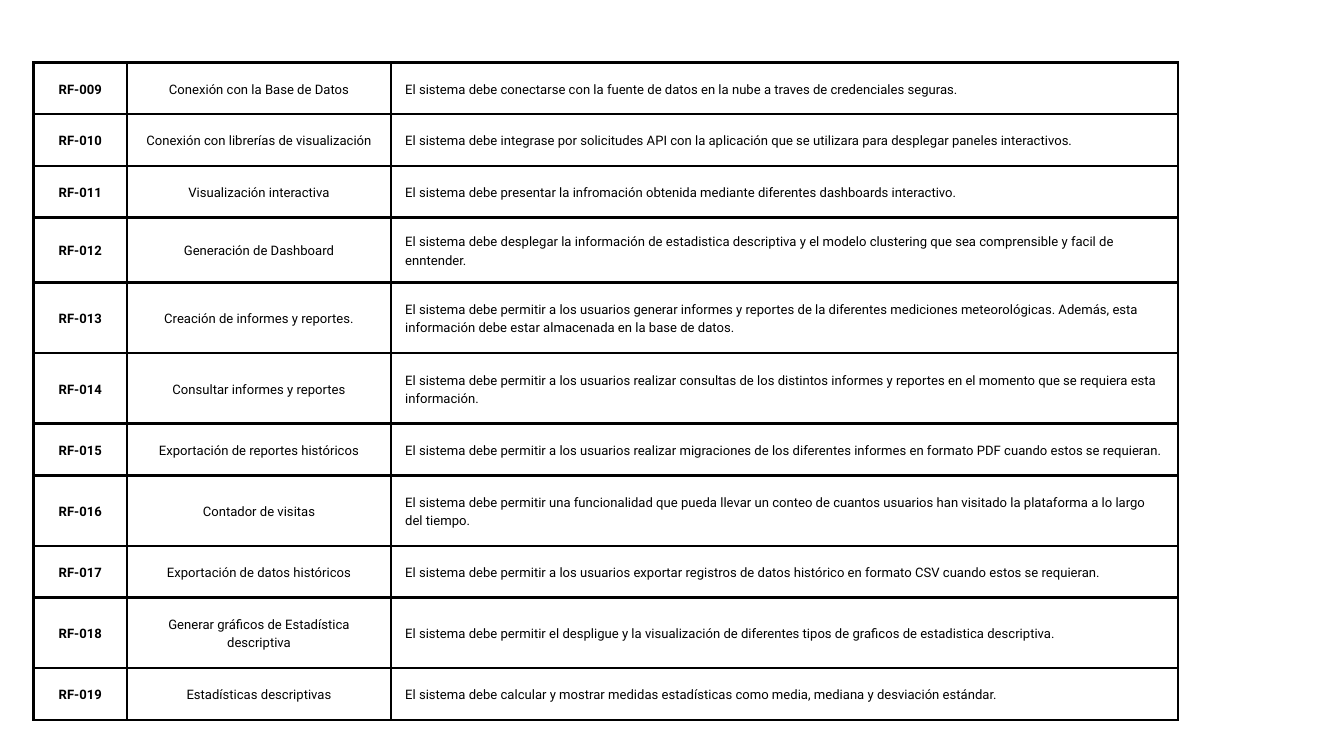
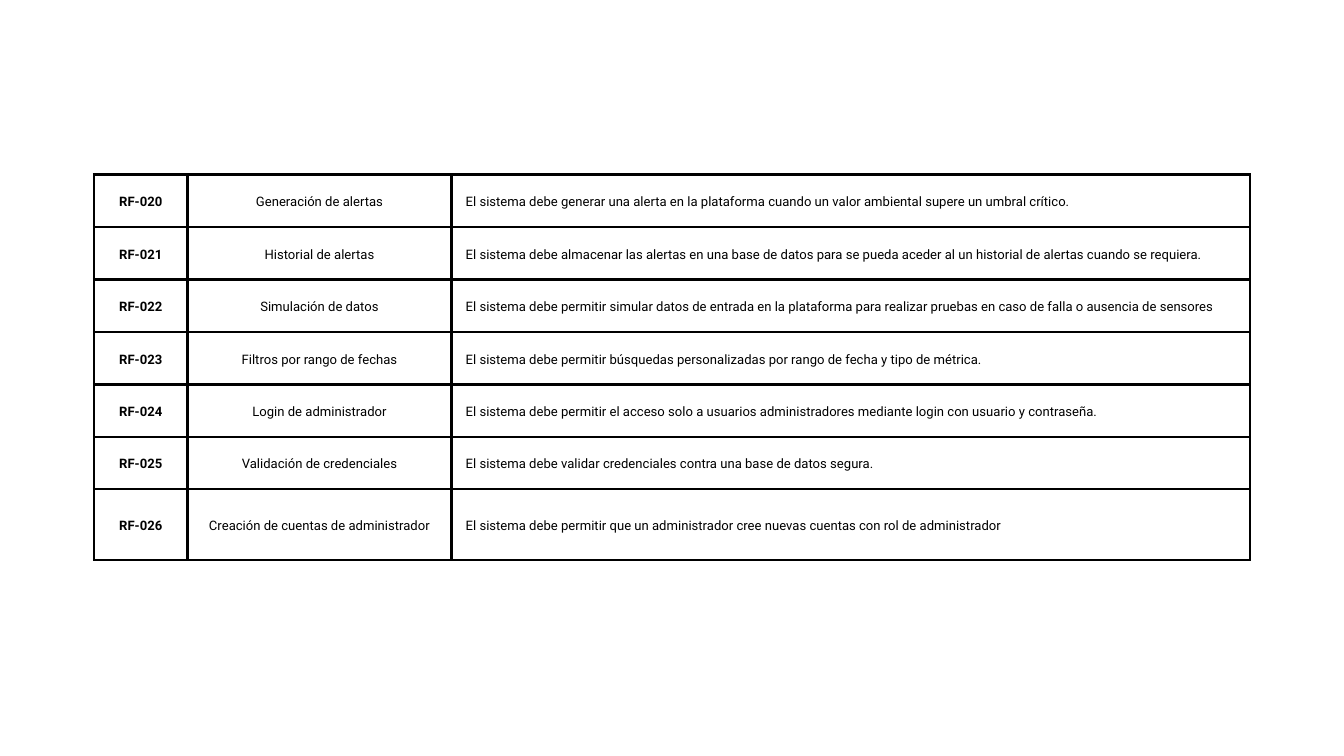
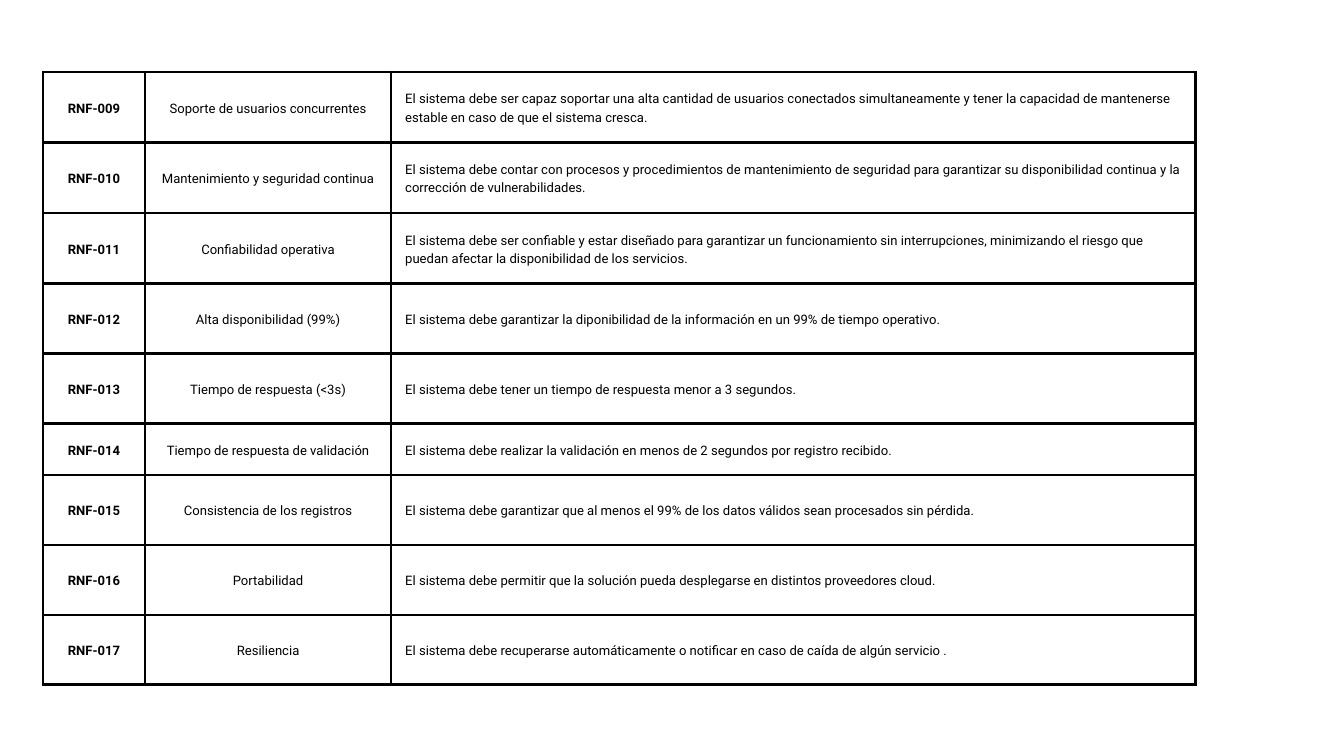
from lxml import etree
from pptx import Presentation
from pptx.dml.color import RGBColor
from pptx.enum.text import MSO_ANCHOR, PP_ALIGN
from pptx.oxml.ns import qn
from pptx.util import Inches, Pt

CENTER, LEFT = PP_ALIGN.CENTER, PP_ALIGN.LEFT
MIDDLE = MSO_ANCHOR.MIDDLE
BLACK = RGBColor(0x00, 0x00, 0x00)
WHITE = RGBColor(0xFF, 0xFF, 0xFF)
BLANK_LAYOUT = 6

# Requirements: code, name, description
DATA_AND_REPORTS = [
    ("RF-009", "Conexión con la Base de Datos",
     "El sistema debe conectarse con la fuente de datos en la nube a traves de credenciales seguras."),
    ("RF-010", "Conexión con librerías de visualización",
     "El sistema debe integrase por solicitudes API con la aplicación que se utilizara para desplegar "
     "paneles interactivos."),
    ("RF-011", "Visualización interactiva",
     "El sistema debe presentar la infromación obtenida mediante diferentes dashboards interactivo."),
    ("RF-012", "Generación de Dashboard",
     "El sistema debe desplegar la información de estadistica descriptiva y el modelo clustering que sea "
     "comprensible y facil de enntender."),
    ("RF-013", "Creación de informes y reportes.",
     "El sistema debe permitir a los usuarios generar informes y reportes de la diferentes mediciones "
     "meteorológicas. Además, esta información debe estar almacenada en la base de datos."),
    ("RF-014", "Consultar informes y reportes",
     "El sistema debe permitir a los usuarios realizar consultas de los distintos informes y reportes en el "
     "momento que se requiera esta información."),
    ("RF-015", "Exportación de reportes históricos",
     "El sistema debe permitir a los usuarios realizar migraciones de los diferentes informes en formato PDF "
     "cuando estos se requieran."),
    ("RF-016", "Contador de visitas",
     "El sistema debe permitir una funcionalidad que pueda llevar un conteo de cuantos usuarios han visitado "
     "la plataforma a lo largo del tiempo."),
    ("RF-017", "Exportación de datos históricos",
     "El sistema debe permitir a los usuarios exportar registros de datos histórico en formato CSV cuando "
     "estos se requieran."),
    ("RF-018", "Generar gráficos de Estadística descriptiva",
     "El sistema debe permitir el despligue y la visualización de diferentes tipos de graficos de estadistica "
     "descriptiva."),
    ("RF-019", "Estadísticas descriptivas",
     "El sistema debe calcular y mostrar medidas estadísticas como media, mediana y desviación estándar."),
]
ALERTS_AND_ACCESS = [
    ("RF-020", "Generación de alertas",
     "El sistema debe generar una alerta en la plataforma cuando un valor ambiental supere un umbral crítico."),
    ("RF-021", "Historial de alertas",
     "El sistema debe almacenar las alertas en una base de datos para se pueda aceder al un historial de "
     "alertas cuando se requiera."),
    ("RF-022", "Simulación de datos",
     "El sistema debe permitir simular datos de entrada en la plataforma para realizar pruebas en caso de "
     "falla o ausencia de sensores"),
    ("RF-023", "Filtros por rango de fechas",
     "El sistema debe permitir búsquedas personalizadas por rango de fecha y tipo de métrica."),
    ("RF-024", "Login de administrador",
     "El sistema debe permitir el acceso solo a usuarios administradores mediante login con usuario y "
     "contraseña."),
    ("RF-025", "Validación de credenciales",
     "El sistema debe validar credenciales contra una base de datos segura."),
    ("RF-026", "Creación de cuentas de administrador",
     "El sistema debe permitir que un administrador cree nuevas cuentas con rol de administrador"),
]
NON_FUNCTIONAL = [
    ("RNF-009", "Soporte de usuarios concurrentes",
     "El sistema debe ser capaz soportar una alta cantidad de usuarios conectados simultaneamente y tener la "
     "capacidad de mantenerse estable en caso de que el sistema cresca."),
    ("RNF-010", "Mantenimiento y seguridad continua",
     "El sistema debe contar con procesos y procedimientos de mantenimiento de seguridad para garantizar su "
     "disponibilidad continua y la corrección de vulnerabilidades."),
    ("RNF-011", "Confiabilidad operativa",
     "El sistema debe ser confiable y estar diseñado para garantizar un funcionamiento sin interrupciones, "
     "minimizando el riesgo que puedan afectar la disponibilidad de los servicios."),
    ("RNF-012", "Alta disponibilidad (99%)",
     "El sistema debe garantizar la diponibilidad de la información en un 99% de tiempo operativo."),
    ("RNF-013", "Tiempo de respuesta (<3s)",
     "El sistema debe tener un tiempo de respuesta menor a 3 segundos."),
    ("RNF-014", "Tiempo de respuesta de validación",
     "El sistema debe realizar la validación en menos de 2 segundos por registro recibido."),
    ("RNF-015", "Consistencia de los registros",
     "El sistema debe garantizar que al menos el 99% de los datos válidos sean procesados sin pérdida."),
    ("RNF-016", "Portabilidad",
     "El sistema debe permitir que la solución pueda desplegarse en distintos proveedores cloud."),
    ("RNF-017", "Resiliencia",
     "El sistema debe recuperarse automáticamente o notificar en caso de caída de algún servicio ."),
]


class Deck:
    font, size, line_spacing = "Roboto", Pt(14), Pt(19.6)
    margin, border = Inches(0.21), Pt(3)

    def __init__(self, prs):
        self.prs = prs
        self.slide = None

    def add_slide(self):
        self.slide = self.prs.slides.add_slide(self.prs.slide_layouts[BLANK_LAYOUT])
        fill = self.slide.background.fill
        fill.solid()
        fill.fore_color.rgb = WHITE

    def add_borders(self, cell):
        tcPr = cell._tc.get_or_add_tcPr()
        for side in ("lnL", "lnR", "lnT", "lnB"):
            ln = etree.SubElement(tcPr, qn(f"a:{side}"), w=str(self.border))
            fill = etree.SubElement(ln, qn("a:solidFill"))
            etree.SubElement(fill, qn("a:srgbClr"), val=str(BLACK))

    def format_cell(self, cell, text, align, bold):
        self.add_borders(cell)
        cell.fill.background()
        cell.vertical_anchor = MIDDLE
        cell.margin_left = cell.margin_right = self.margin
        cell.margin_top = cell.margin_bottom = self.margin
        cell.text = text
        p = cell.text_frame.paragraphs[0]
        p.alignment = align
        p.line_spacing = self.line_spacing
        font = p.runs[0].font
        font.name, font.size, font.bold = self.font, self.size, bold
        font.color.rgb = BLACK

    def add_requirements(self, left, top, widths, heights, requirements):
        frame = self.slide.shapes.add_table(
            len(heights), len(widths), Inches(left), Inches(top),
            Inches(sum(widths)), Inches(sum(heights)))
        table = frame.table
        table.first_row = table.horz_banding = False
        for column, width in zip(table.columns, widths):
            column.width = Inches(width)
        for row, height, requirement in zip(table.rows, heights, requirements):
            row.height = Inches(height)
            code, name, description = row.cells
            self.format_cell(code, requirement[0], CENTER, True)
            self.format_cell(name, requirement[1], CENTER, False)
            self.format_cell(description, requirement[2], LEFT, False)


def main():
    prs = Presentation()
    prs.slide_width, prs.slide_height = Inches(20), Inches(11.25)
    deck = Deck(prs)

    # Functional requirements: data, dashboards and reports
    deck.add_slide()
    deck.add_requirements(
        0.5, 0.93, (1.39, 3.93, 11.71),
        [0.77] * 4 + [1.05] * 2 + [0.77, 1.05] * 2 + [0.77], DATA_AND_REPORTS)

    # Functional requirements: alerts and access
    deck.add_slide()
    deck.add_requirements(
        1.4, 2.6, (1.39, 3.93, 11.88), [0.78] * 6 + [1.05], ALERTS_AND_ACCESS)

    # Non-functional requirements
    deck.add_slide()
    deck.add_requirements(
        0.64, 1.07, (1.52, 3.66, 11.97),
        [1.05] * 3 + [1.04] * 2 + [0.77] + [1.04] * 3, NON_FUNCTIONAL)

    prs.save("out.pptx")


if __name__ == "__main__":
    main()
